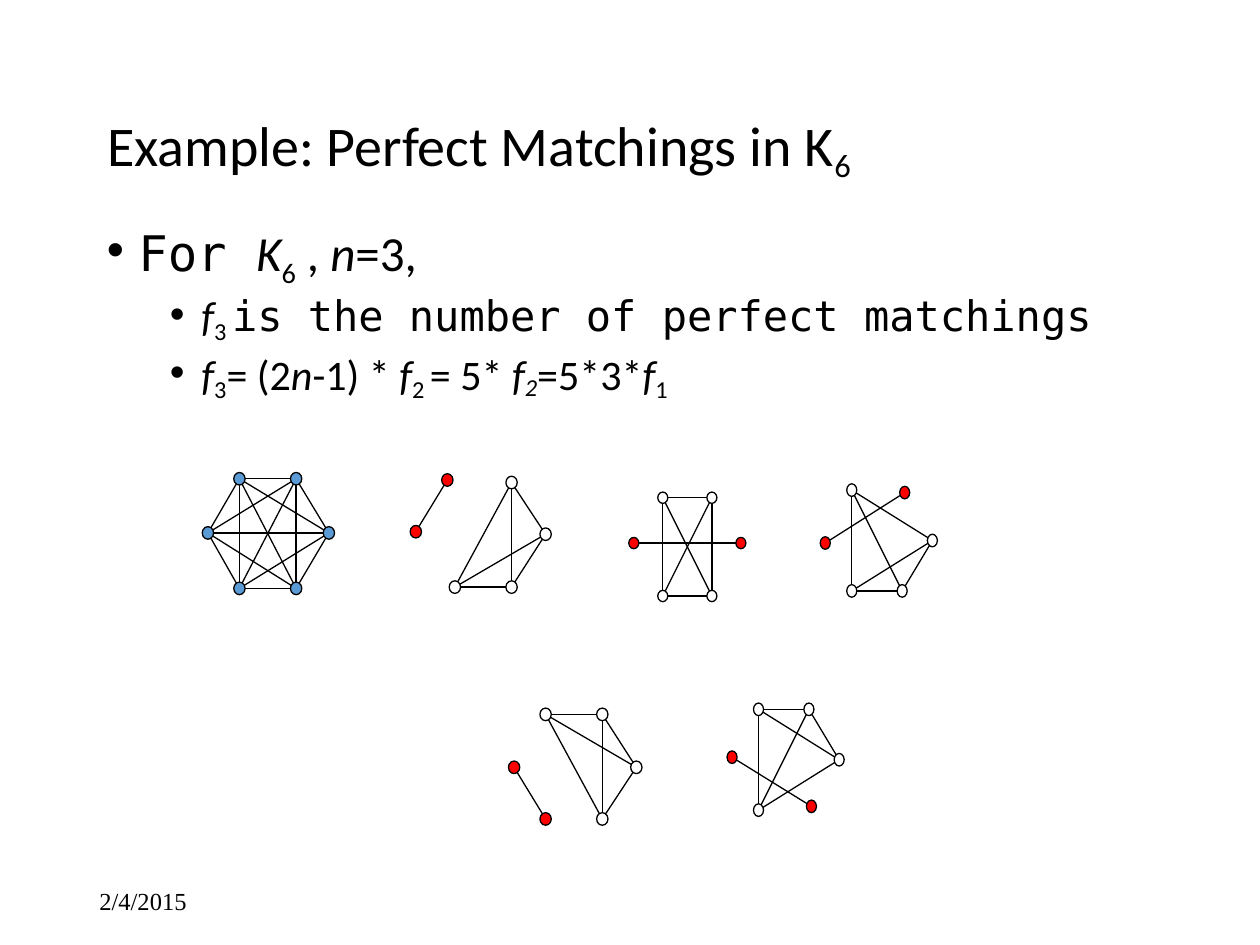
"""Build the slide on perfect matchings in K6."""
import itertools
import math
from dataclasses import dataclass

import pptx
import pptx.dml.color
import pptx.enum.shapes
import pptx.enum.text
import pptx.oxml.ns
import pptx.util
from lxml import etree
from pptx.util import Inches

Point = tuple[float, float]


@dataclass(frozen=True)
class Theme:
    ink: str = "000000"
    matched: str = "FF0000"
    complete: str = "5B9BD5"
    font: str = "Calibri"
    mono: str = "DejaVu Sans Mono"
    serif: str = "Times New Roman"
    title: float = 32
    body: float = 28
    detail: float = 24
    date: float = 14
    line: float = 0.75


THEME = Theme()


@dataclass(frozen=True)
class Piece:
    text: str
    italic: bool = False
    font: str = THEME.font
    baseline: int = 0


@dataclass(frozen=True)
class Bullet:
    pieces: tuple[Piece, ...]
    size: float = THEME.detail
    level: int = 1
    indent: float = 0.75
    space_before: float = 5


@dataclass(frozen=True)
class CompleteGraph:
    nodes: tuple[Point, ...]
    fill: str | None = None
    width: float = 0.09
    height: float = 0.1


def variable(text: str) -> Piece:
    return Piece(text, italic=True)


def subscript(text: str, baseline: int = -20, italic: bool = False) -> Piece:
    return Piece(text, italic=italic, baseline=baseline)


BULLETS = (
    Bullet((Piece("For ", font=THEME.mono), variable("K"), subscript("6", -25),
            Piece(" , "), variable("n"), Piece("=3,")),
           size=THEME.body, level=0, indent=0.25, space_before=0),
    Bullet((variable("f"), subscript("3 "),
            Piece("is the number of perfect matchings", font=THEME.mono))),
    Bullet((variable("f"), subscript("3"), Piece("= (2"), variable("n"), Piece("-1) * "),
            variable("f"), subscript("2 "), Piece("= 5* "), variable("f"),
            subscript("2", -16, True), Piece("=5*3*"), variable("f"), subscript("1"))),
)

GRAPHS = (
    CompleteGraph(((1.9, 3.8), (2.35, 3.8), (2.61, 4.23), (2.35, 4.67), (1.9, 4.67),
                   (1.65, 4.23)), THEME.complete),
    CompleteGraph(((4.06, 3.83), (4.33, 4.24), (4.06, 4.66), (3.61, 4.66))),
    CompleteGraph(((3.55, 3.81), (3.3, 4.22)), THEME.matched),
    CompleteGraph(((5.26, 3.95), (5.65, 3.95), (5.65, 4.73), (5.26, 4.73)),
                  width=0.08, height=0.09),
    CompleteGraph(((5.03, 4.31), (5.88, 4.31)), THEME.matched, 0.08, 0.09),
    CompleteGraph(((6.76, 3.89), (7.4, 4.29), (7.16, 4.69), (6.76, 4.69)), width=0.08),
    CompleteGraph(((7.18, 3.91), (6.55, 4.31)), THEME.matched, 0.08),
    CompleteGraph(((4.33, 5.67), (4.78, 5.67), (5.05, 6.09), (4.78, 6.5))),
    CompleteGraph(((4.08, 6.09), (4.33, 6.5)), THEME.matched),
    CompleteGraph(((6.02, 5.63), (6.42, 5.63), (6.66, 6.03), (6.02, 6.43)), width=0.08),
    CompleteGraph(((5.81, 6.01), (6.44, 6.4)), THEME.matched, 0.08),
)


def colour(value: str) -> pptx.dml.color.RGBColor:
    return pptx.dml.color.RGBColor.from_string(value)


def add_text(paragraph, text: str, *, size: float, font: str = THEME.font,
             italic: bool = False, baseline: int = 0) -> None:
    run = paragraph.add_run()
    run.text = text
    run.font.size = pptx.util.Pt(size)
    run.font.name = font
    run.font.italic = italic
    run.font.color.rgb = colour(THEME.ink)
    if baseline:
        run._r.get_or_add_rPr().set("baseline", str(baseline * 1000))


def add_bullet(paragraph, bullet: Bullet) -> None:
    paragraph.level = bullet.level
    paragraph.line_spacing = 0.9
    paragraph.space_before = pptx.util.Pt(bullet.space_before)
    properties = paragraph._p.get_or_add_pPr()
    properties.set("marL", str(Inches(bullet.indent)))
    properties.set("indent", str(Inches(-0.25)))
    etree.SubElement(properties, pptx.oxml.ns.qn("a:buFont"), typeface="Arial")
    etree.SubElement(properties, pptx.oxml.ns.qn("a:buChar"), char="•")
    for piece in bullet.pieces:
        add_text(paragraph, piece.text, size=bullet.size, font=piece.font,
                 italic=piece.italic, baseline=piece.baseline)


def add_text_box(slide, left: float, top: float, width: float, height: float,
                 anchor: pptx.enum.text.MSO_ANCHOR):
    box = slide.shapes.add_textbox(*map(Inches, (left, top, width, height)))
    box.text_frame.word_wrap = True
    box.text_frame.vertical_anchor = anchor
    return box.text_frame


def add_edge(shapes, start: Point, end: Point, graph: CompleteGraph) -> None:
    across, down = end[0] - start[0], end[1] - start[1]
    trim = 1 / math.hypot(2 * across / graph.width, 2 * down / graph.height)
    edge = shapes.add_connector(
        pptx.enum.shapes.MSO_CONNECTOR.STRAIGHT,
        Inches(start[0] + trim * across), Inches(start[1] + trim * down),
        Inches(end[0] - trim * across), Inches(end[1] - trim * down))
    edge.line.color.rgb = colour(THEME.ink)
    edge.line.width = pptx.util.Pt(THEME.line)
    etree.SubElement(edge._element.spPr, pptx.oxml.ns.qn("a:effectLst"))


def add_node(shapes, centre: Point, graph: CompleteGraph) -> None:
    node = shapes.add_shape(
        pptx.enum.shapes.MSO_SHAPE.OVAL,
        Inches(centre[0] - graph.width / 2), Inches(centre[1] - graph.height / 2),
        Inches(graph.width), Inches(graph.height))
    node.shadow.inherit = False
    node.line.color.rgb = colour(THEME.ink)
    node.line.width = pptx.util.Pt(THEME.line)
    if graph.fill:
        node.fill.solid()
        node.fill.fore_color.rgb = colour(graph.fill)
    else:
        node.fill.background()


def add_graph(slide, graph: CompleteGraph) -> None:
    shapes = slide.shapes.add_group_shape().shapes
    for centre in graph.nodes:
        add_node(shapes, centre, graph)
    for start, end in itertools.combinations(graph.nodes, 2):
        add_edge(shapes, start, end, graph)


def add_title(slide) -> None:
    title = slide.shapes.title
    title.left, title.top, title.width, title.height = map(Inches, (0.75, 0.67, 7.99, 1))
    title.text_frame.vertical_anchor = pptx.enum.text.MSO_ANCHOR.MIDDLE
    paragraph = title.text_frame.paragraphs[0]
    paragraph.alignment = pptx.enum.text.PP_ALIGN.LEFT
    paragraph.line_spacing = 0.9
    add_text(paragraph, "Example: Perfect Matchings in K", size=THEME.title)
    add_text(paragraph, "6", size=THEME.title, baseline=-18)


def main() -> None:
    presentation = pptx.Presentation()
    presentation.slide_width, presentation.slide_height = Inches(10), Inches(7.5)
    slide = presentation.slides.add_slide(presentation.slide_layouts[5])
    add_title(slide)
    date = add_text_box(slide, 0.69, 6.95, 2.25, 0.4, pptx.enum.text.MSO_ANCHOR.MIDDLE)
    add_text(date.paragraphs[0], "2/4/2015", size=THEME.date, font=THEME.serif)
    body = add_text_box(slide, 0.75, 1.72, 8.5, 1.51, pptx.enum.text.MSO_ANCHOR.TOP)
    for index, bullet in enumerate(BULLETS):
        add_bullet(body.add_paragraph() if index else body.paragraphs[0], bullet)
    for graph in GRAPHS:
        add_graph(slide, graph)
    presentation.save("out.pptx")


if __name__ == "__main__":
    main()
